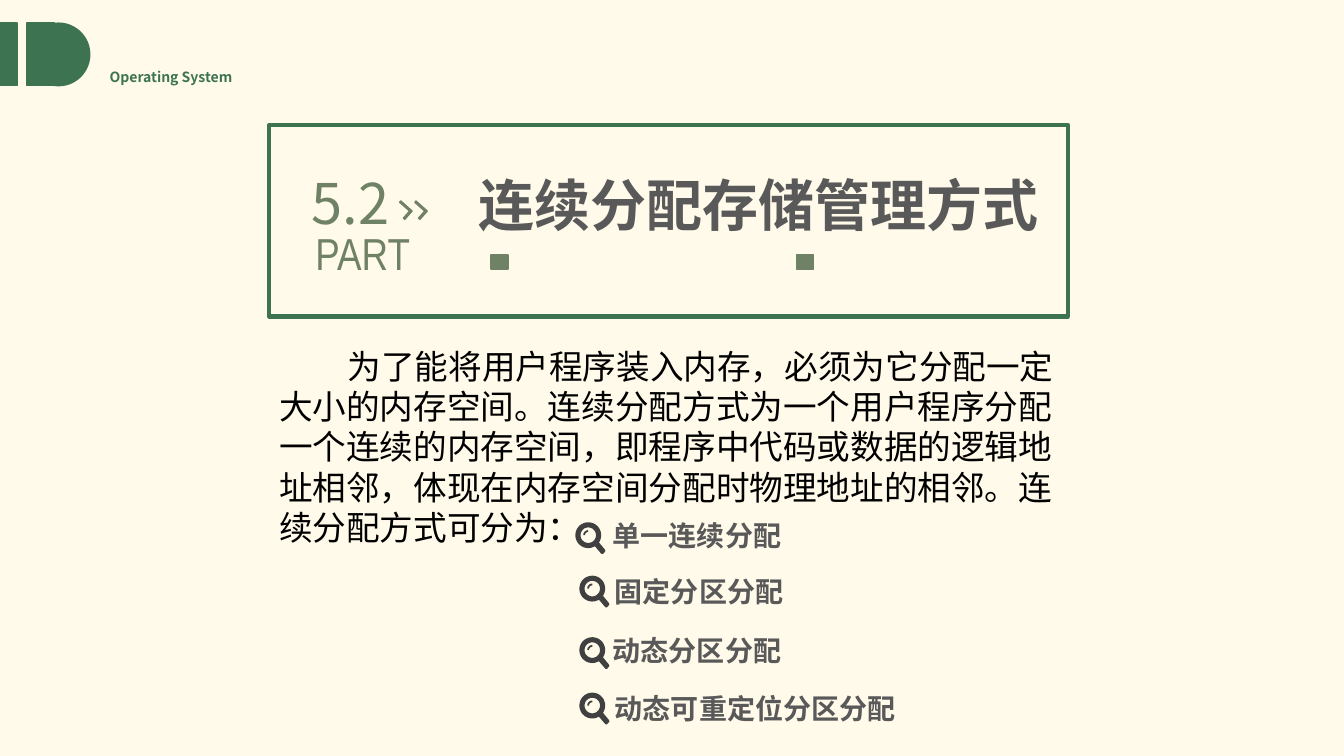
from dataclasses import dataclass
from math import cos, radians, sin
from typing import NamedTuple

from pptx import Presentation
from pptx.dml.color import RGBColor
from pptx.enum.shapes import MSO_SHAPE
from pptx.enum.text import MSO_ANCHOR, MSO_AUTO_SIZE, PP_ALIGN
from pptx.oxml.ns import qn
from pptx.util import Emu, Inches, Pt

RECT, OVAL, CORNER = MSO_SHAPE.RECTANGLE, MSO_SHAPE.OVAL, MSO_SHAPE.CORNER
TOP, LEFT, FIXED = MSO_ANCHOR.TOP, PP_ALIGN.LEFT, MSO_AUTO_SIZE.NONE
CELL = Inches(0.1)
TITLE_ONLY = 5


@dataclass(frozen=True)
class Theme:
    paper: str = "FFFAEA"
    green: str = "3D7351"
    moss: str = "708265"
    olive: str = "6F8163"
    gray: str = "595959"
    dark: str = "404040"
    black: str = "000000"
    noto: str = "Noto Sans CJK SC"
    narrow: str = "Arial Narrow"
    plain: str = "Calibri"
    huge: int = 40
    large: int = 32
    body: int = 24
    item: int = 20
    small: int = 10


THEME = Theme()


class Area(NamedTuple):
    col: float
    row: float
    cols: float
    rows: float

    def emu(self) -> list[Emu]:
        return [Emu(round(n * CELL)) for n in self]


class Block(NamedTuple):
    kind: MSO_SHAPE
    area: Area
    fill: str | None
    line: str
    weight: float = 1
    turn: float = 0
    bend: tuple[float, ...] = ()


class Label(NamedTuple):
    area: Area
    text: str
    size: int
    face: str
    color: str
    bold: bool = False
    wrap: bool = True
    indent: float = 0


class Item(NamedTuple):
    text: str
    col: float
    row: float
    cols: float
    lens_col: float
    lens_row: float


BLOCKS = [
    Block(RECT, Area(0, 2.3, 1.7, 6.2), THEME.green, THEME.green),
    Block(RECT, Area(2.7, 2.3, 2.7, 6.2), THEME.green, THEME.green),
    Block(OVAL, Area(2.7, 2.3, 6.2, 6.2), THEME.green, THEME.green),
    Block(RECT, Area(26.7, 12.4, 79.2, 19), None, THEME.green, 3),
    *(Block(RECT, Area(col, 25.3, 1.7, 1.4), THEME.moss, THEME.moss)
      for col in (48.7, 79)),
    *(Block(CORNER, Area(col, 20.3, 1.5, 1.1), THEME.olive, THEME.moss,
            turn=221.6, bend=(0.15, 0.17)) for col in (39.2, 40.7)),
]

TITLE = Label(Area(46.5, 16.4, 59.8, 7.7), "连续分配存储管理方式",
              THEME.huge, THEME.noto, THEME.gray, True)

LABELS = [
    Label(Area(9.9, 6.3, 14.7, 2.7), "Operating System",
          THEME.small, THEME.noto, THEME.green, True, False),
    Label(Area(30.3, 21.9, 17.8, 6.4), "PART",
          THEME.large, THEME.narrow, THEME.moss),
    Label(Area(29.9, 16.2, 18.8, 7.7), "5.2",
          THEME.huge, THEME.noto, THEME.moss),
    Label(Area(26.7, 33.8, 79.6, 21.2),
          "为了能将用户程序装入内存，必须为它分配一定大小的内存空间。"
          "连续分配方式为一个用户程序分配一个连续的内存空间，"
          "即程序中代码或数据的逻辑地址相邻，"
          "体现在内存空间分配时物理地址的相邻。连续分配方式可分为：",
          THEME.body, THEME.plain, THEME.black, indent=6.8),
]

ITEMS = [
    Item("单一连续分配", 59.8, 50.9, 18.8, 57.1, 51.8),
    Item("固定分区分配", 60, 56.5, 18.8, 57.5, 57.1),
    Item("动态分区分配", 59.8, 62.4, 18.8, 57.5, 63.2),
    Item("动态可重定位分区分配", 60, 68.1, 30.1, 57.5, 68.7),
]


def tint(name: str) -> RGBColor:
    return RGBColor.from_string(name)


def draw_block(slide, block: Block) -> None:
    shape = slide.shapes.add_shape(block.kind, *block.area.emu())
    shape.shadow.inherit = False
    if block.fill:
        shape.fill.solid()
        shape.fill.fore_color.rgb = tint(block.fill)
    else:
        shape.fill.background()
    shape.line.color.rgb = tint(block.line)
    shape.line.width = Pt(block.weight)
    shape.rotation = block.turn
    for index, value in enumerate(block.bend):
        shape.adjustments[index] = value


def set_text(shape, label: Label) -> None:
    shape.left, shape.top, shape.width, shape.height = label.area.emu()
    frame = shape.text_frame
    frame.text = label.text
    frame.word_wrap = label.wrap
    frame.auto_size = FIXED
    frame.vertical_anchor = TOP
    para = frame.paragraphs[0]
    para.alignment = LEFT
    if label.indent:
        props = para._p.get_or_add_pPr()
        props.set("marL", "0")
        props.set("indent", str(round(label.indent * CELL)))
    run = para.runs[0]
    font = run.font
    font.size, font.bold, font.name = Pt(label.size), label.bold, label.face
    font.color.rgb = tint(label.color)
    east = run._r.get_or_add_rPr().makeelement(
        qn("a:ea"), {"typeface": label.face})
    font._element.find(qn("a:latin")).addnext(east)


def draw_label(slide, label: Label) -> None:
    set_text(slide.shapes.add_textbox(*label.area.emu()), label)


def arc(size: float, start: int, end: int, step: int) -> list[tuple[float, float]]:
    return [(125 + size * cos(radians(a)), 130 + size * sin(radians(a)))
            for a in range(start, end + step, step)]


def draw_lens(slide, col: float, row: float) -> None:
    rim = arc(128, 59, 394, 5) + [(292, 275), (294, 290), (270, 317), (255, 315)]
    hole = arc(77, 360, 0, -10)
    glint = arc(50, 180, 270, 10) + arc(32, 270, 180, -10)
    pen = slide.shapes.build_freeform(*rim[0], scale=CELL / 100)
    pen.add_line_segments(rim[1:])
    for loop in (hole, glint):
        pen.move_to(*loop[0])
        pen.add_line_segments(loop[1:])
    lens = pen.convert_to_shape(round(col * CELL), round(row * CELL))
    lens.shadow.inherit = False
    lens.fill.solid()
    lens.fill.fore_color.rgb = tint(THEME.dark)
    lens.line.fill.background()


def draw_item(slide, item: Item) -> None:
    draw_label(slide, Label(Area(item.col, item.row, item.cols, 4.4), item.text,
                            THEME.item, THEME.noto, THEME.gray, True, False))
    draw_lens(slide, item.lens_col, item.lens_row)


def main() -> None:
    deck = Presentation()
    deck.slide_width, deck.slide_height = Inches(13.33), Inches(7.5)
    slide = deck.slides.add_slide(deck.slide_layouts[TITLE_ONLY])
    slide.background.fill.solid()
    slide.background.fill.fore_color.rgb = tint(THEME.paper)
    set_text(slide.shapes.title, TITLE)
    for block in BLOCKS:
        draw_block(slide, block)
    for label in LABELS:
        draw_label(slide, label)
    for item in ITEMS:
        draw_item(slide, item)
    deck.save("out.pptx")


if __name__ == "__main__":
    main()
